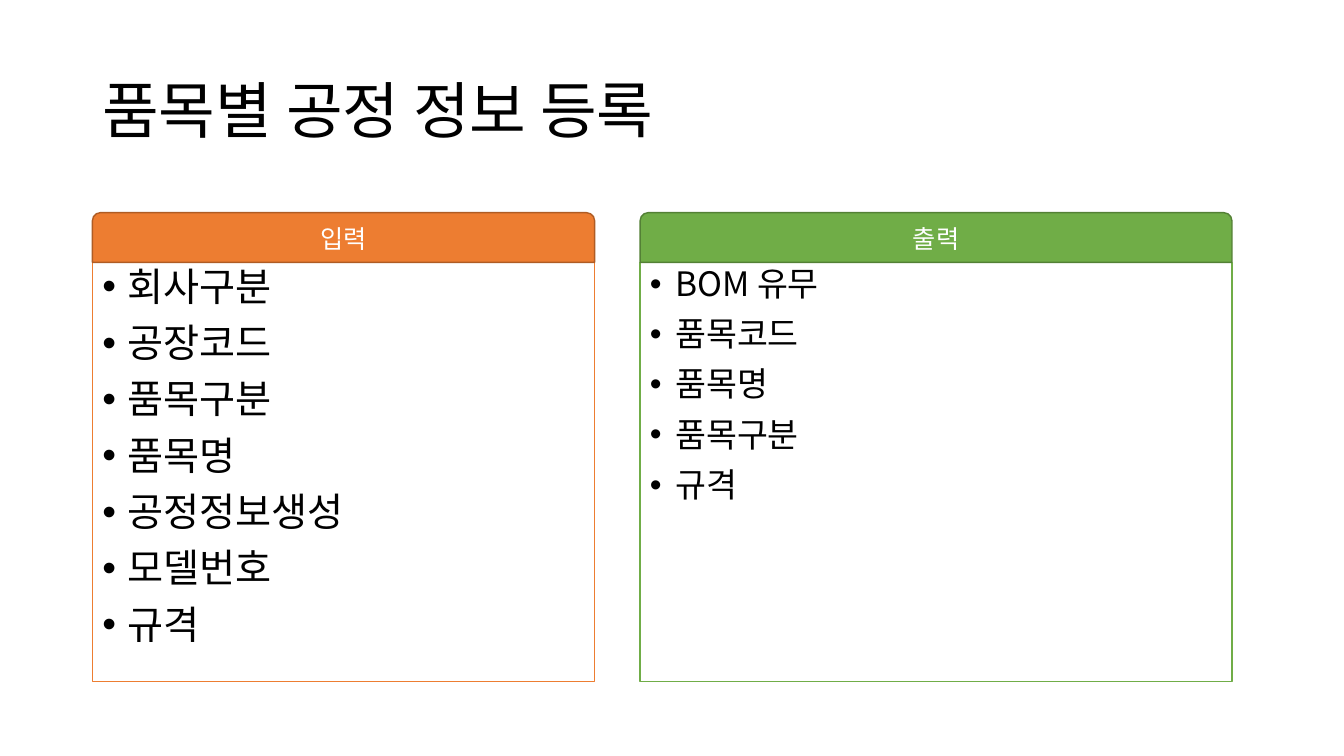
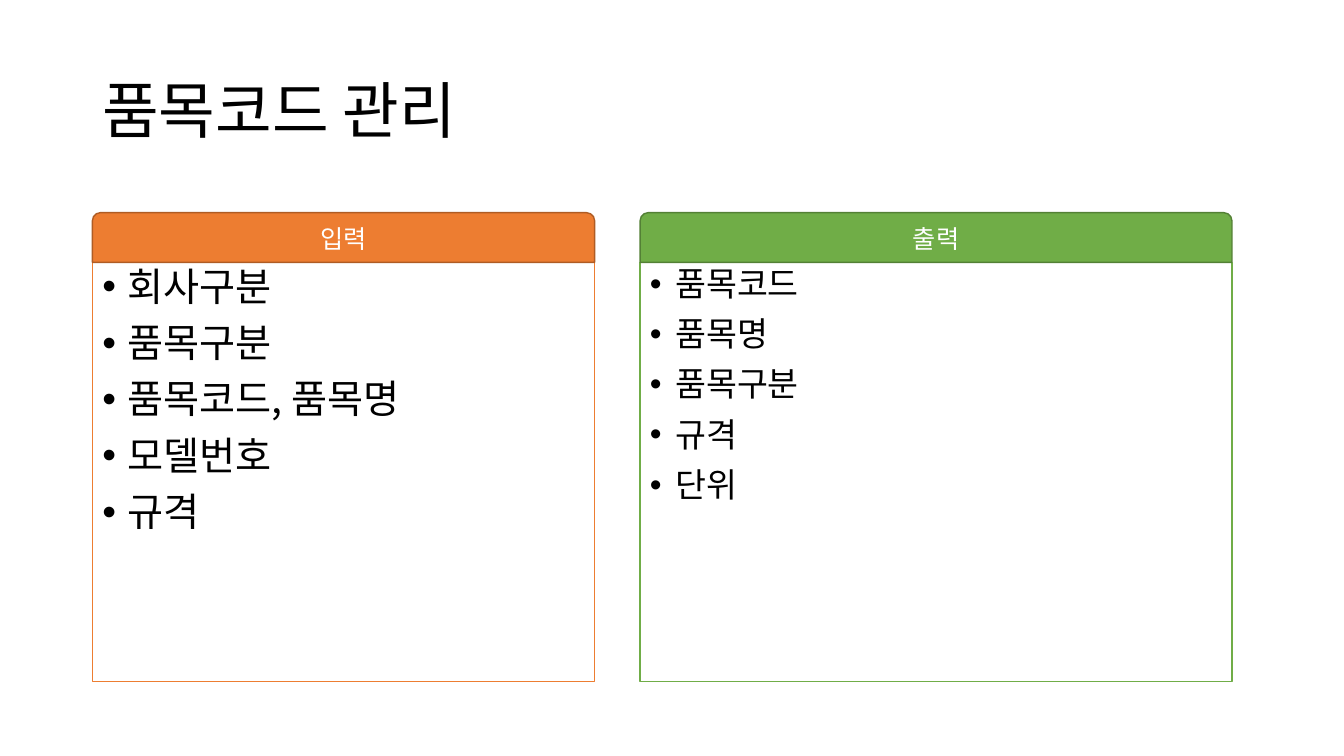
"""Build two slides that list the inputs and outputs of item screens."""
from dataclasses import dataclass

import lxml.etree
import pptx
import pptx.dml.color
import pptx.enum.shapes
import pptx.enum.text
import pptx.oxml.ns
import pptx.presentation
import pptx.shapes.autoshape
import pptx.slide
import pptx.text.text
import pptx.util

Pt = pptx.util.Pt
Shape = pptx.enum.shapes.MSO_SHAPE
Align = pptx.enum.text.PP_ALIGN
Anchor = pptx.enum.text.MSO_ANCHOR


@dataclass(frozen=True)
class Theme:
    face: str = "Noto Sans CJK KR"
    ink: str = "000000"
    paper: str = "FFFFFF"
    orange: str = "ED7D31"
    rust: str = "AF5C24"
    green: str = "70AD47"
    moss: str = "538035"
    title: int = 44
    head: int = 18
    large: int = 28
    small: int = 24


@dataclass(frozen=True)
class Box:
    left: float
    top: float
    width: float
    height: float


@dataclass(frozen=True)
class Panel:
    label: str
    left: float
    width: float
    fill: str
    edge: str
    size: int


@dataclass(frozen=True)
class Page:
    title: str
    lists: tuple[tuple[str, ...], ...]


THEME = Theme()
TITLE = Box(66, 28.75, 828, 104.4)
HEAD_TOP, HEAD_HIGH, BODY_HIGH = 151.9, 35.5, 299.3
INDENT = 18
PANELS = (
    Panel("입력", 66, 358.8, THEME.orange, THEME.rust, THEME.large),
    Panel("출력", 457.2, 422.8, THEME.green, THEME.moss, THEME.small),
)
PAGES = (
    Page("품목별 공정 정보 등록", (
        ("회사구분", "공장코드", "품목구분", "품목명", "공정정보생성", "모델번호", "규격"),
        ("BOM 유무", "품목코드", "품목명", "품목구분", "규격"),
    )),
    Page("품목코드 관리", (
        ("회사구분", "품목구분", "품목코드, 품목명", "모델번호", "규격"),
        ("품목코드", "품목명", "품목구분", "규격", "단위"),
    )),
)


def tint(code: str) -> pptx.dml.color.RGBColor:
    """Turn a hex code into a colour."""
    return pptx.dml.color.RGBColor.from_string(code)


def place(box: Box) -> tuple[pptx.util.Length, ...]:
    """Give the place of a box as lengths."""
    return Pt(box.left), Pt(box.top), Pt(box.width), Pt(box.height)


def style(para: pptx.text.text._Paragraph, size: int, color: str) -> None:
    """Set the font of a paragraph for Latin and Korean text."""
    font = para.font
    font.name, font.size = THEME.face, Pt(size)
    font.color.rgb = tint(color)
    east = lxml.etree.SubElement(font._element, pptx.oxml.ns.qn("a:ea"))
    east.set("typeface", THEME.face)


def bullet(para: pptx.text.text._Paragraph) -> None:
    """Give a paragraph a hanging bullet."""
    props = para._p.get_or_add_pPr()
    props.set("marL", str(Pt(INDENT)))
    props.set("indent", str(-Pt(INDENT)))
    face = lxml.etree.SubElement(props, pptx.oxml.ns.qn("a:buFont"))
    face.set("typeface", "Arial")
    mark = lxml.etree.SubElement(props, pptx.oxml.ns.qn("a:buChar"))
    mark.set("char", "•")


def block(slide: pptx.slide.Slide, kind: Shape, box: Box, fill: str,
          edge: str) -> pptx.shapes.autoshape.Shape:
    """Draw a filled shape with a thin edge."""
    shape = slide.shapes.add_shape(kind, *place(box))
    shape.shadow.inherit = False
    shape.fill.solid()
    shape.fill.fore_color.rgb = tint(fill)
    shape.line.color.rgb = tint(edge)
    shape.line.width = Pt(1)
    return shape


def draw_title(slide: pptx.slide.Slide, text: str) -> None:
    """Draw the slide title."""
    frame = slide.shapes.add_textbox(*place(TITLE)).text_frame
    frame.word_wrap = True
    frame.vertical_anchor = Anchor.MIDDLE
    para = frame.paragraphs[0]
    para.text = text
    para.line_spacing = 0.9
    style(para, THEME.title, THEME.ink)


def draw_body(slide: pptx.slide.Slide, panel: Panel, items: tuple[str, ...]) -> None:
    """Draw the framed list of a panel."""
    box = Box(panel.left, HEAD_TOP + HEAD_HIGH, panel.width, BODY_HIGH)
    frame = block(slide, Shape.RECTANGLE, box, THEME.paper, panel.fill).text_frame
    frame.vertical_anchor = Anchor.TOP
    frame.text = "\n".join(items)
    for para in frame.paragraphs:
        bullet(para)
        para.alignment = Align.LEFT
        para.line_spacing = 0.9
        para.space_before = Pt(10)
        style(para, panel.size, THEME.ink)


def draw_head(slide: pptx.slide.Slide, panel: Panel) -> None:
    """Draw the coloured header of a panel."""
    box = Box(panel.left, HEAD_TOP, panel.width, HEAD_HIGH)
    shape = block(slide, Shape.ROUND_2_SAME_RECTANGLE, box, panel.fill, panel.edge)
    frame = shape.text_frame
    frame.vertical_anchor = Anchor.MIDDLE
    para = frame.paragraphs[0]
    para.text = panel.label
    para.alignment = Align.CENTER
    style(para, THEME.head, THEME.paper)


def draw_page(deck: pptx.presentation.Presentation, page: Page) -> None:
    """Add one slide with its title and panels."""
    slide = deck.slides.add_slide(deck.slide_layouts[6])
    draw_title(slide, page.title)
    for panel, items in zip(PANELS, page.lists):
        draw_body(slide, panel, items)
        draw_head(slide, panel)


def main() -> None:
    """Build and save the deck."""
    deck = pptx.Presentation()
    deck.slide_width, deck.slide_height = Pt(960), Pt(540)
    for page in PAGES:
        draw_page(deck, page)
    deck.save("out.pptx")


if __name__ == "__main__":
    main()
